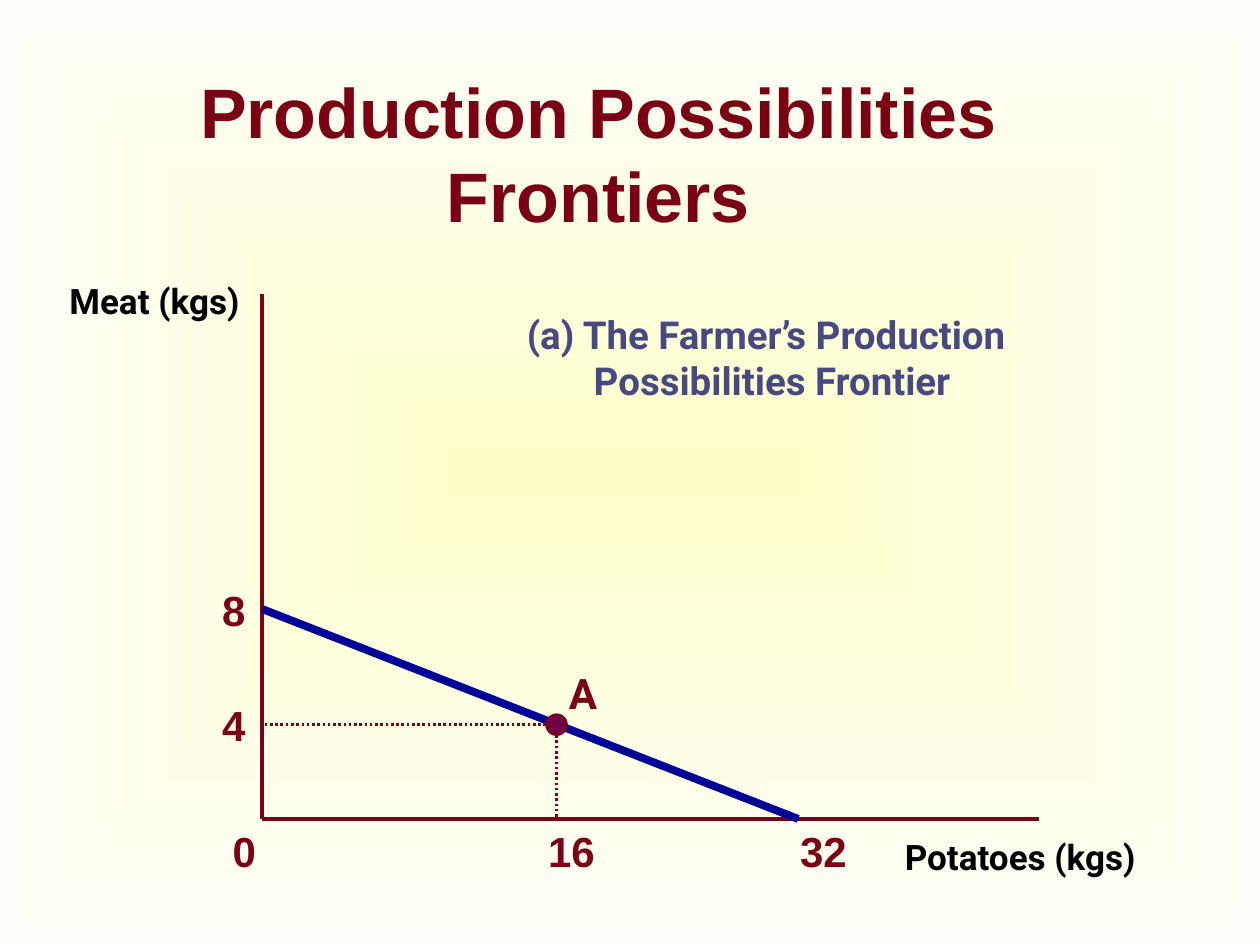
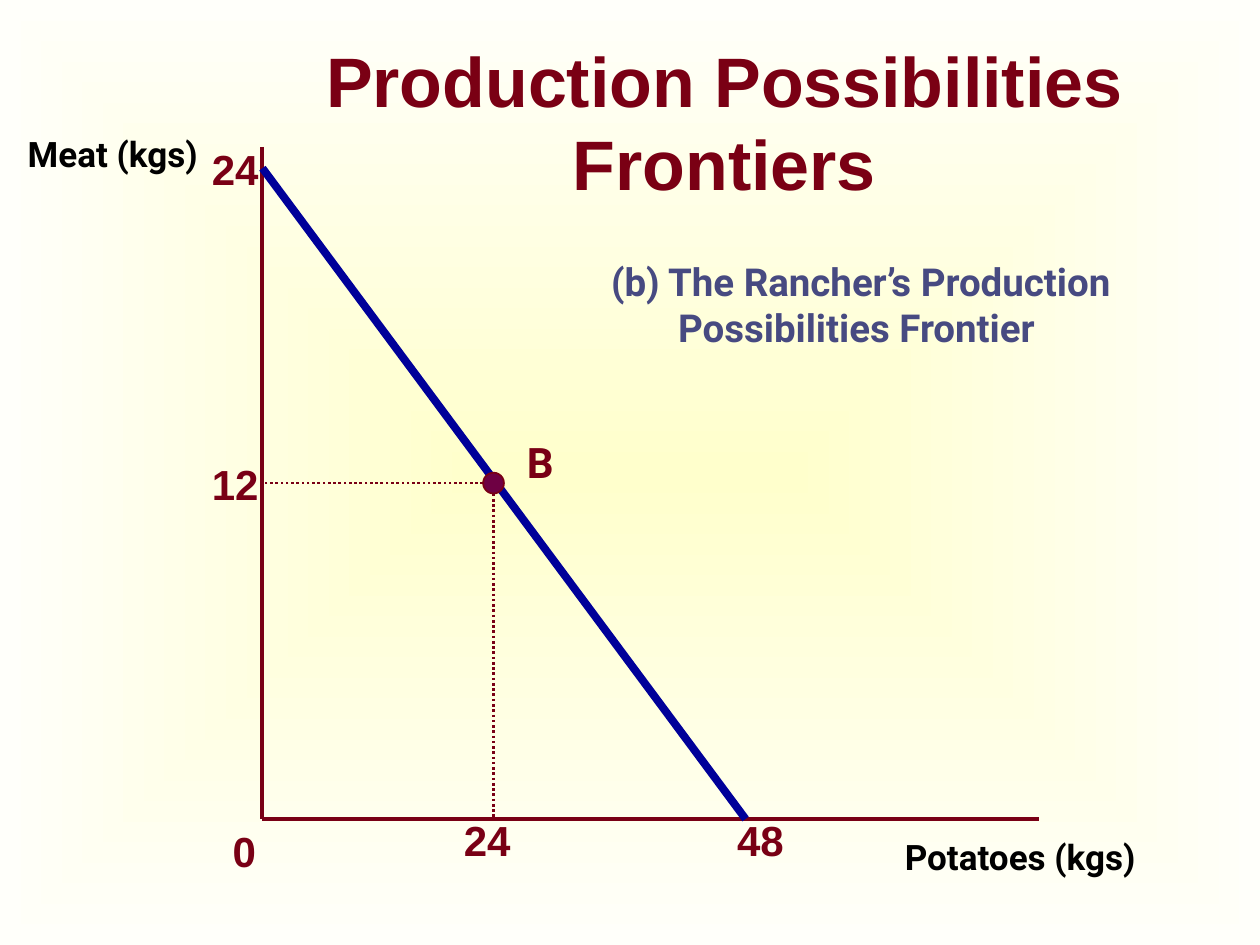
from dataclasses import dataclass

from lxml.etree import SubElement
from pptx import Presentation
from pptx.dml.color import RGBColor
from pptx.enum.dml import MSO_LINE
from pptx.enum.shapes import MSO_CONNECTOR, MSO_SHAPE
from pptx.enum.text import MSO_ANCHOR, PP_ALIGN
from pptx.oxml import parse_xml
from pptx.oxml.ns import nsdecls, qn
from pptx.util import Cm, Pt

GLOW = RGBColor(0xFF, 0xFF, 0xCC)
IVORY = RGBColor(0xFF, 0xFF, 0xFA)
TITLE_RED = RGBColor(0x7A, 0x00, 0x14)
MAROON = RGBColor(0x79, 0x00, 0x15)
PLUM = RGBColor(0x6E, 0x00, 0x43)
NAVY = RGBColor(0x00, 0x00, 0x99)
SLATE = RGBColor(0x47, 0x4A, 0x81)
BLACK = RGBColor(0x00, 0x00, 0x00)
HEADING_FONT = "Arial"
LABEL_FONT = "Roboto"


@dataclass
class Box:
    """A rectangle on the slide, in centimetres."""

    left: float
    top: float
    width: float
    height: float


@dataclass
class Frontier:
    """One producer's frontier; distances are centimetres from the origin."""

    meat: tuple
    potatoes: tuple
    meat_reach: float
    potato_reach: float
    point: tuple
    point_name: str
    point_name_shift: tuple
    meat_title_shift: float
    meat_shift: float
    potato_shifts: tuple
    potato_drop: float


def add_text(slide, box, lines, size, color, font=HEADING_FONT,
             align=PP_ALIGN.LEFT, anchor=MSO_ANCHOR.TOP, indents=(0,)):
    """Place bold lines of text in the box, each with its own indent."""
    frame = slide.shapes.add_textbox(
        Cm(box.left), Cm(box.top), Cm(box.width), Cm(box.height)).text_frame
    frame.word_wrap = True
    frame.vertical_anchor = anchor
    for index, (line, indent) in enumerate(zip(lines, indents)):
        paragraph = frame.add_paragraph() if index else frame.paragraphs[0]
        paragraph.alignment = align
        if indent:
            paragraph._p.get_or_add_pPr().set("marL", str(Cm(indent)))
        run = paragraph.add_run()
        run.text = line
        run.font.name = font
        run.font.size = Pt(size)
        run.font.bold = True
        run.font.color.rgb = color


def add_line(slide, start, end, color, weight, dash=None):
    """Draw a straight line between two points."""
    line = slide.shapes.add_connector(
        MSO_CONNECTOR.STRAIGHT, *(Cm(value) for value in (*start, *end)))
    line.line.color.rgb = color
    line.line.width = Pt(weight)
    if dash:
        line.line.dash_style = dash
    SubElement(line._element.spPr, qn("a:effectLst"))


def add_number(slide, left, top, text, font=HEADING_FONT):
    """Write a value or point name beside the plot."""
    add_text(slide, Box(left, top, 1.48, 1.27), [text], 24, MAROON, font)


def paint_background(master):
    """Give every slide the pale glow that fades towards the edges."""
    fill = master.background.fill
    fill.gradient()
    for stop, color, position in zip(fill.gradient_stops, (GLOW, IVORY), (0, 1)):
        stop.color.rgb = color
        stop.position = position
    linear = next(master.element.iter(qn("a:lin")))
    linear.getparent().replace(linear, parse_xml(
        f'<a:path {nsdecls("a")} path="rect">'
        '<a:fillToRect l="50000" t="50000" r="50000" b="50000"/></a:path>'))


def draw_title(slide, box):
    """Write the heading shared by the slides."""
    add_text(slide, box, ["Production Possibilities Frontiers"], 40, TITLE_RED,
             align=PP_ALIGN.CENTER, anchor=MSO_ANCHOR.MIDDLE)


def draw_caption(slide, box, owner):
    """Name the frontier's owner over two lines."""
    add_text(slide, box, [f"{owner} Production", "Possibilities Frontier"],
             22, SLATE, LABEL_FONT, indents=(0, 1.35))


def draw_plot(slide, box, frontier):
    """Draw axes, frontier, guides and labels within the plot box."""
    left, bottom = box.left, box.top + box.height
    meat_y = bottom - frontier.meat_reach
    potato_x = left + frontier.potato_reach
    point_x, point_y = left + frontier.point[0], bottom - frontier.point[1]

    add_line(slide, (left, box.top), (left, bottom), MAROON, 2.25)
    add_line(slide, (left, bottom), (left + box.width, bottom), MAROON, 2.25)
    add_line(slide, (left, meat_y), (potato_x, bottom), NAVY, 4.5)
    for foot in ((left, point_y), (point_x, bottom)):
        add_line(slide, (point_x, point_y), foot, MAROON, 1.5, MSO_LINE.ROUND_DOT)

    add_text(slide, Box(left + 12.7, bottom + 0.21, 7.41, 1.12),
             ["Potatoes (kgs)"], 20, BLACK, LABEL_FONT)
    add_text(slide, Box(left + frontier.meat_title_shift, box.top - 0.42, 4.24, 1.12),
             ["Meat (kgs)"], 20, BLACK, LABEL_FONT, PP_ALIGN.RIGHT)
    add_number(slide, left - 0.85, bottom, "0")
    for text, y in zip(frontier.meat, (meat_y, point_y)):
        add_number(slide, left + frontier.meat_shift, y - 0.63, text)
    for text, x, shift in zip(frontier.potatoes, (potato_x, point_x),
                              frontier.potato_shifts):
        add_number(slide, x + shift, bottom + frontier.potato_drop, text)

    size = 0.42
    dot = slide.shapes.add_shape(
        MSO_SHAPE.OVAL, Cm(point_x - size / 2), Cm(point_y - size / 2),
        Cm(size), Cm(size))
    dot.shadow.inherit = False
    dot.fill.solid()
    dot.fill.fore_color.rgb = PLUM
    dot.line.color.rgb = MAROON
    dot.line.width = Pt(1)
    shift_x, shift_y = frontier.point_name_shift
    add_number(slide, point_x + shift_x, point_y + shift_y,
               frontier.point_name, LABEL_FONT)


def build_frontier_slide(deck, title_box, caption_box, owner, plot_box, frontier):
    """Add one slide with title, plot and caption."""
    slide = deck.slides.add_slide(deck.slide_layouts[6])
    draw_title(slide, title_box)
    draw_plot(slide, plot_box, frontier)
    draw_caption(slide, caption_box, owner)


def main():
    """Build and save the presentation."""
    deck = Presentation()
    deck.slide_width, deck.slide_height = Cm(25.4), Cm(19.05)
    paint_background(deck.slide_master)

    farmer = Frontier(
        meat=("8", "4"), potatoes=("32", "16"),
        meat_reach=4.23, potato_reach=10.8,
        point=(5.93, 1.9), point_name="A", point_name_shift=(0, -1.27),
        meat_title_shift=-4.45, meat_shift=-1.06,
        potato_shifts=(-0.21, -0.42), potato_drop=0)
    rancher = Frontier(
        meat=("24", "12"), potatoes=("48", "24"),
        meat_reach=13.12, potato_reach=9.74,
        point=(4.66, 6.77), point_name="B", point_name_shift=(0.42, -1.06),
        meat_title_shift=-5.29, meat_shift=-1.27,
        potato_shifts=(-0.42, -0.85), potato_drop=-0.21)

    build_frontier_slide(
        deck, Box(1.27, 1.48, 21.59, 3.18), Box(10.37, 6.14, 11.85, 2.13),
        "(a) The Farmer’s", Box(5.29, 5.93, 15.66, 10.58), farmer)
    build_frontier_slide(
        deck, Box(3.81, 0.85, 21.59, 3.18), Box(12.07, 5.08, 12.28, 2.13),
        "(b) The Rancher’s", Box(5.29, 2.96, 15.66, 13.55), rancher)
    deck.save("out.pptx")


if __name__ == "__main__":
    main()
